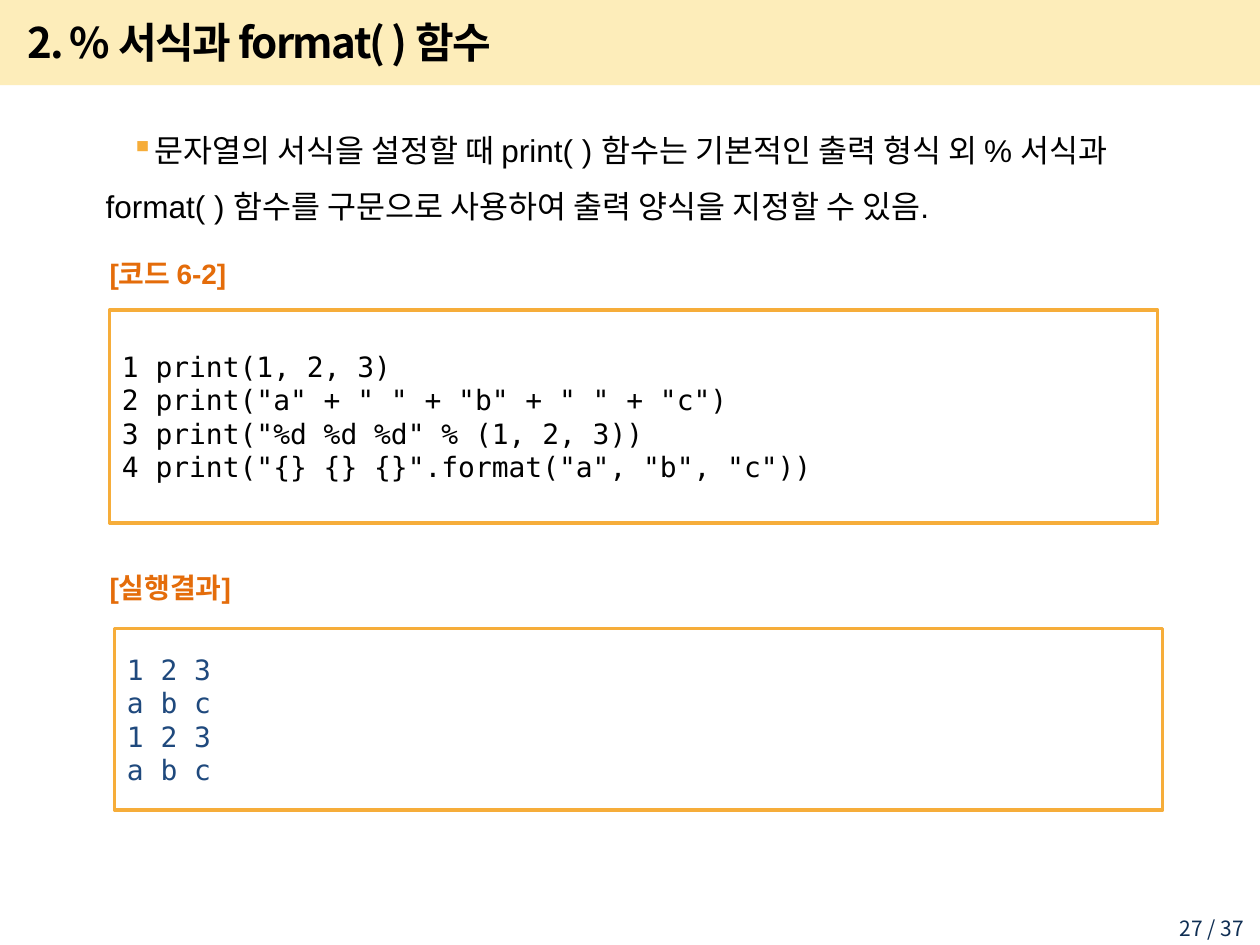
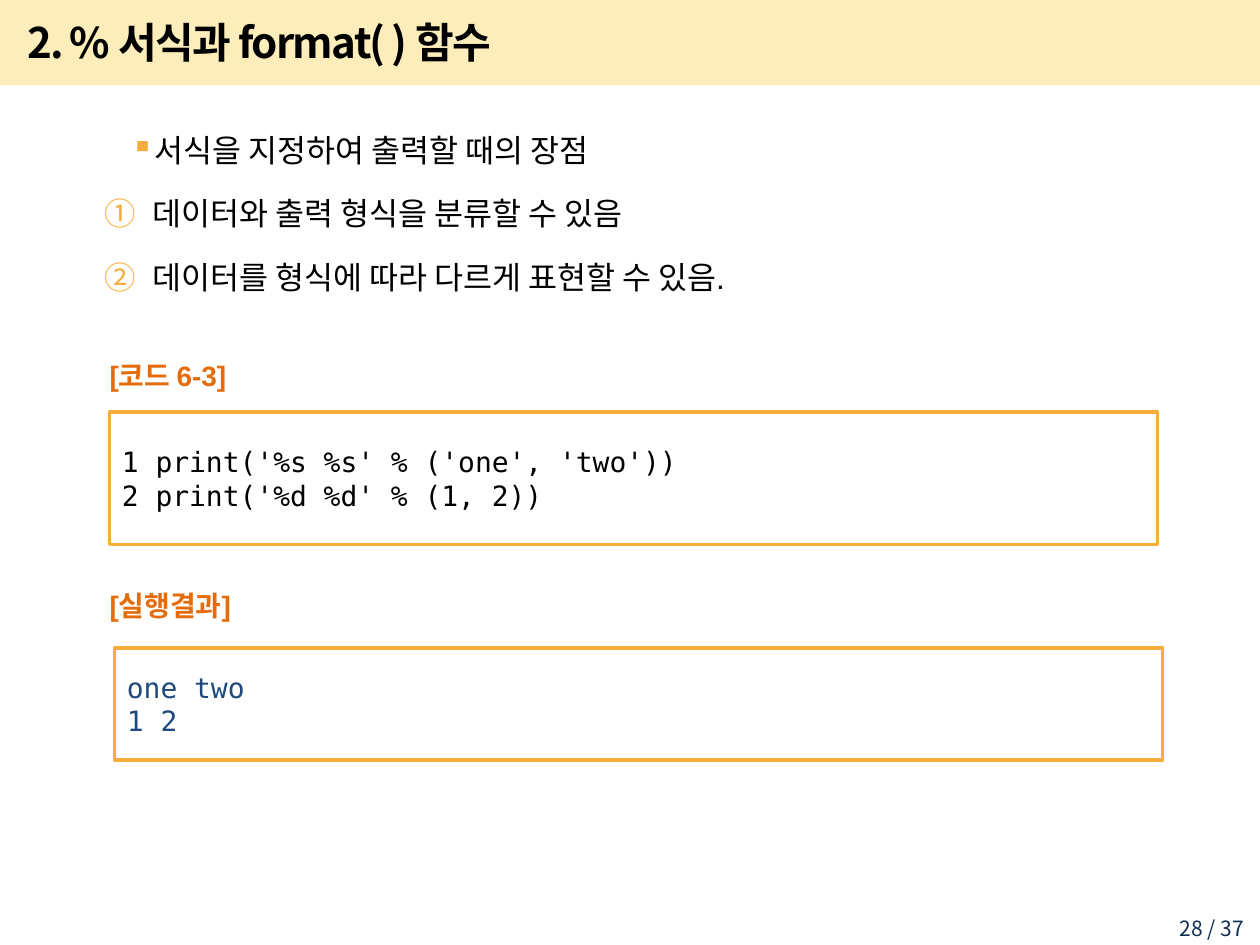
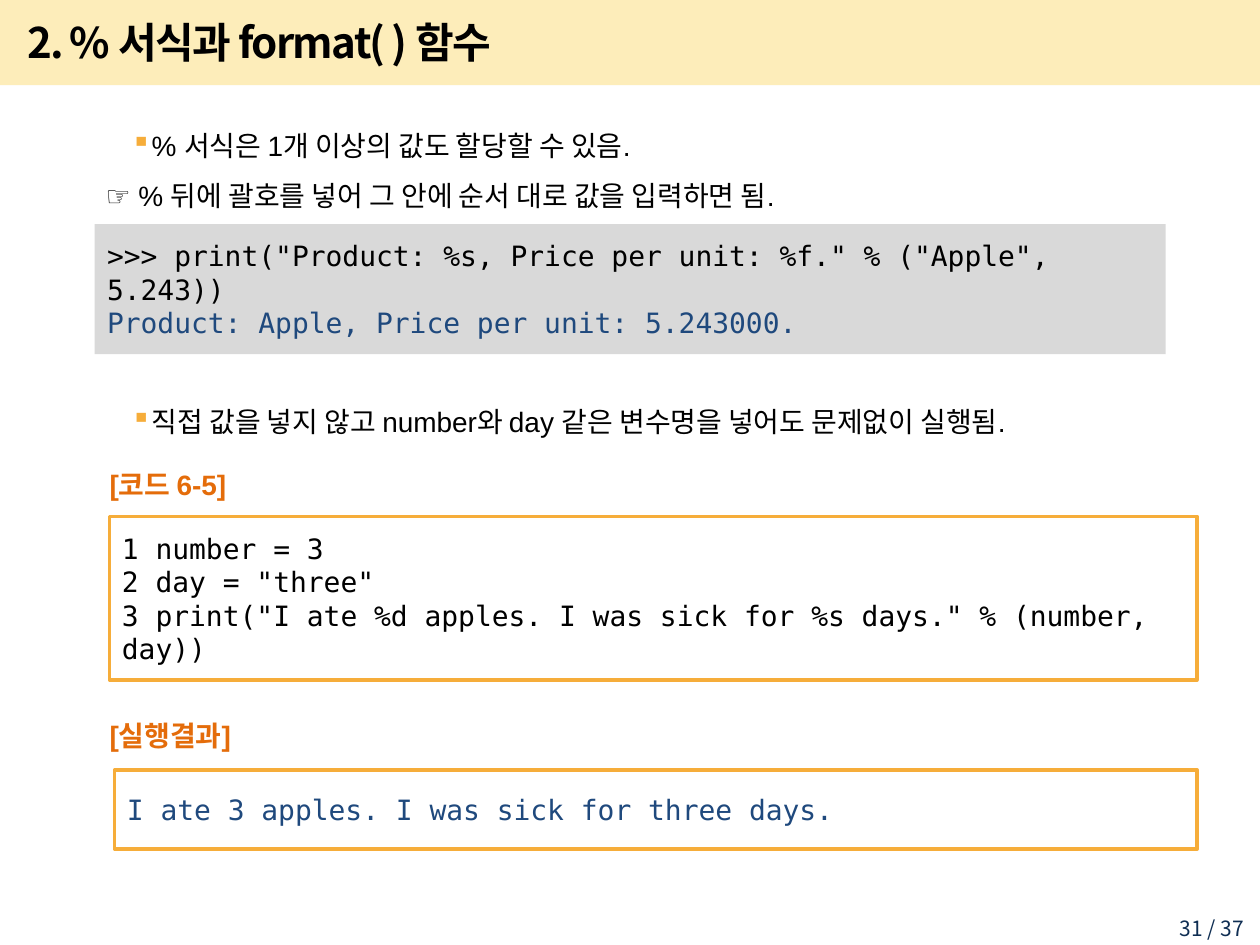
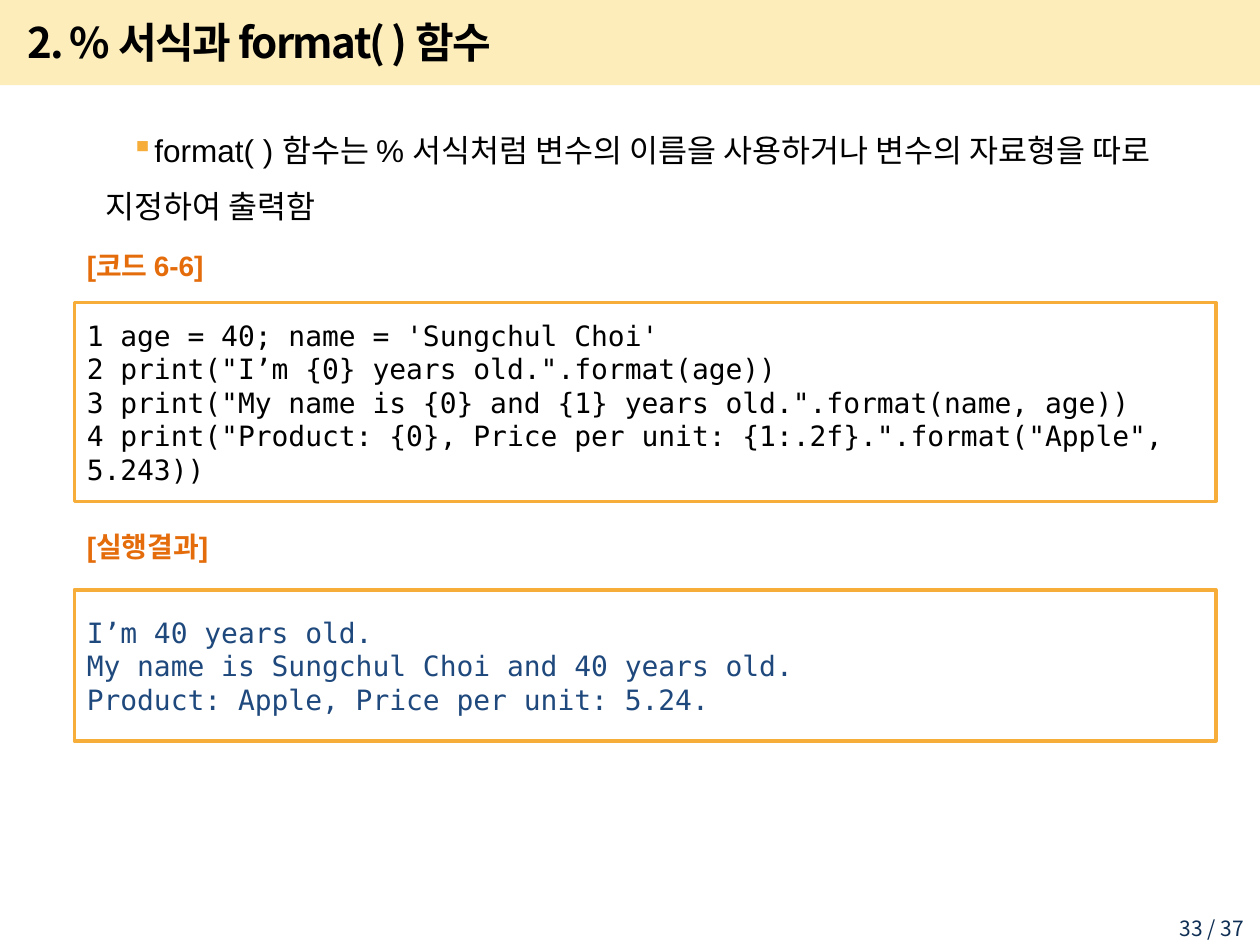
from lxml.etree import SubElement
from pptx import Presentation
from pptx.dml.color import RGBColor
from pptx.enum.shapes import MSO_SHAPE
from pptx.enum.text import MSO_ANCHOR, PP_ALIGN
from pptx.oxml.ns import qn
from pptx.util import Cm, Pt

BLACK = RGBColor(0x00, 0x00, 0x00)
BAND_YELLOW = RGBColor(0xFA, 0xBE, 0x00)
FRAME_ORANGE = RGBColor(0xF6, 0xAD, 0x3A)
LABEL_ORANGE = RGBColor(0xE4, 0x6C, 0x0A)
OUTPUT_BLUE = RGBColor(0x1F, 0x49, 0x7D)
FOOTER_NAVY = RGBColor(0x0F, 0x2E, 0x53)
CONSOLE_GRAY = RGBColor(0xD9, 0xD9, 0xD9)

TITLE_FONT = "Noto Sans CJK KR"
BODY_FONT = "Arial"
CODE_FONT = "DejaVu Sans Mono"

TITLE = "2. % 서식과 format( ) 함수"
PAGE_COUNT = 37
LINE_GAP = 4  # points before a body paragraph
SQUARE, NUMBER = "▪", "circleNumDbPlain"

# Boxes are (left, top, width, height) in cm; body items are (bullet, gap, text).
SLIDES = [
    {
        "page": 27,
        "body_size": 18,
        "body": [(SQUARE, LINE_GAP, "문자열의 서식을 설정할 때 print( ) 함수는 기본적인 출력 형식 외 "
                  "% 서식과 format( ) 함수를 구문으로 사용하여 출력 양식을 지정할 수 있음.")],
        "label_left": 1.96,
        "code_label": ("[코드 6-2]", 4.88),
        "code_box": (2.21, 6.25, 21.13, 4.29),
        "code": ['1 print(1, 2, 3)',
                 '2 print("a" + " " + "b" + " " + "c")',
                 '3 print("%d %d %d" % (1, 2, 3))',
                 '4 print("{} {} {}".format("a", "b", "c"))'],
        "result_label_top": 11.13,
        "result_box": (2.31, 12.67, 21.13, 3.66),
        "result": ["1 2 3", "a b c", "1 2 3", "a b c"],
    },
    {
        "page": 28,
        "body_size": 18,
        "body": [(SQUARE, LINE_GAP, "서식을 지정하여 출력할 때의 장점"),
                 (NUMBER, LINE_GAP, "데이터와 출력 형식을 분류할 수 있음"),
                 (NUMBER, LINE_GAP, "데이터를 형식에 따라 다르게 표현할 수 있음.")],
        "label_left": 1.96,
        "code_label": ("[코드 6-3]", 6.93),
        "code_box": (2.21, 8.31, 21.13, 2.67),
        "code": ["1 print('%s %s' % ('one', 'two'))",
                 "2 print('%d %d' % (1, 2))"],
        "result_label_top": 11.51,
        "result_box": (2.31, 13.06, 21.13, 2.26),
        "result": ["one two", "1 2"],
    },
    {
        "page": 31,
        "body_size": 16,
        "body": [(SQUARE, LINE_GAP, "% 서식은 1개 이상의 값도 할당할 수 있음.\v"
                  "☞ % 뒤에 괄호를 넣어 그 안에 순서 대로 값을 입력하면 됨."),
                 (SQUARE, 100, "직접 값을 넣지 않고 number와 day 같은 변수명을 넣어도 문제없이 실행됨.")],
        "console": ['>>> print("Product: %s, Price per unit: %f." % ("Apple", 5.243))',
                    "Product: Apple, Price per unit: 5.243000."],
        "label_left": 1.96,
        "code_label": ("[코드 6-5]", 9.12),
        "code_box": (2.21, 10.41, 21.92, 3.3),
        "code": ["1 number = 3",
                 '2 day = "three"',
                 '3 print("I ate %d apples. I was sick for %s days." % (number, day))'],
        "result_label_top": 14.12,
        "result_box": (2.31, 15.52, 21.82, 1.6),
        "result": ["I ate 3 apples. I was sick for three days."],
    },
    {
        "page": 33,
        "body_size": 18,
        "body": [(SQUARE, LINE_GAP, "format( ) 함수는 % 서식처럼 변수의 이름을 사용하거나 "
                  "변수의 자료형을 따로 지정하여 출력함")],
        "label_left": 1.5,
        "code_label": ("[코드 6-6]", 4.72),
        "code_box": (1.5, 6.1, 23.01, 4.01),
        "code": ["1 age = 40; name = 'Sungchul Choi'",
                 '2 print("I’m {0} years old.".format(age))',
                 '3 print("My name is {0} and {1} years old.".format(name, age))',
                 '4 print("Product: {0}, Price per unit: {1:.2f}.".format("Apple", 5.243))'],
        "result_label_top": 10.31,
        "result_box": (1.5, 11.89, 23.01, 3.05),
        "result": ["I’m 40 years old.",
                   "My name is Sungchul Choi and 40 years old.",
                   "Product: Apple, Price per unit: 5.24."],
    },
]


def add_rectangle(slide, box, fill=None, line=None):
    shape = slide.shapes.add_shape(MSO_SHAPE.RECTANGLE, *map(Cm, box))
    shape.shadow.inherit = False
    if fill is None:
        shape.fill.background()
    else:
        shape.fill.solid()
        shape.fill.fore_color.rgb = fill
    if line is None:
        shape.line.fill.background()
    else:
        shape.line.color.rgb = line
        shape.line.width = Pt(2)
    return shape


def write_lines(shape, lines, font, size, color, bold=False, anchor=MSO_ANCHOR.MIDDLE):
    """Fill a shape with one paragraph per line and return the paragraphs."""
    frame = shape.text_frame
    frame.word_wrap = True
    frame.vertical_anchor = anchor
    frame.text = "\n".join(lines)
    for paragraph in frame.paragraphs:
        paragraph.alignment = PP_ALIGN.LEFT
        paragraph.font.name = font
        paragraph.font.size = Pt(size)
        paragraph.font.bold = bold
        paragraph.font.color.rgb = color
    return frame.paragraphs


presentation = Presentation()
presentation.slide_width = Cm(25.4)
presentation.slide_height = Cm(19.05)

for content in SLIDES:
    slide = presentation.slides.add_slide(presentation.slide_layouts[6])

    # Title band, page number and title
    band = add_rectangle(slide, (0, 0, 25.4, 1.72), fill=BAND_YELLOW)
    band_color = band.fill._xPr.find(qn("a:solidFill"))[0]
    SubElement(band_color, qn("a:alpha"), val="27000")

    footer = slide.shapes.add_textbox(Cm(22.99), Cm(18.34), Cm(2.34), Cm(0.58))
    page_line = write_lines(footer, [f"{content['page']} / {PAGE_COUNT}"], TITLE_FONT, 12,
                            FOOTER_NAVY, anchor=MSO_ANCHOR.TOP)[0]
    page_line.alignment = PP_ALIGN.RIGHT

    title = slide.shapes.add_textbox(Cm(0.3), Cm(0.18), Cm(21.62), Cm(1.32))
    title_line = write_lines(title, [TITLE], TITLE_FONT, 24, BLACK, bold=True)[0]
    title_line.runs[0]._r.get_or_add_rPr().set("spc", "-100")

    # Bulleted explanation
    body = slide.shapes.add_textbox(Cm(0.89), Cm(2.13), Cm(23.24), Cm(14.88))
    body_lines = write_lines(body, [text for _, _, text in content["body"]], BODY_FONT,
                             content["body_size"], BLACK, anchor=MSO_ANCHOR.TOP)
    for paragraph, (bullet, gap, _) in zip(body_lines, content["body"]):
        paragraph.line_spacing = 1.5
        paragraph.space_before = Pt(gap)
        properties = paragraph._p.get_or_add_pPr()
        left, indent = (1.93, -0.97) if bullet == NUMBER else (0.99, 0.51)
        properties.set("marL", str(Cm(left)))
        properties.set("indent", str(Cm(indent)))
        bullet_color = SubElement(properties, qn("a:buClr"))
        SubElement(bullet_color, qn("a:srgbClr"), val=str(FRAME_ORANGE))
        if bullet == NUMBER:
            SubElement(properties, qn("a:buAutoNum"), type=NUMBER)
        else:
            SubElement(properties, qn("a:buChar"), char=bullet)
        properties.append(properties.find(qn("a:defRPr")))  # must follow the bullet

    # Console sample
    if "console" in content:
        console = add_rectangle(slide, (1.91, 4.52, 21.59, 2.62), fill=CONSOLE_GRAY)
        console_lines = write_lines(console, content["console"], CODE_FONT, 16, BLACK)
        console_lines[-1].font.color.rgb = OUTPUT_BLUE

    # Code listing and its result, each under a label
    code_label, code_label_top = content["code_label"]
    for label_text, label_top, label_height, box, lines, color in [
        (code_label, code_label_top, 1.27, content["code_box"], content["code"], BLACK),
        ("[실행결과]", content["result_label_top"], 1.4, content["result_box"],
         content["result"], OUTPUT_BLUE),
    ]:
        label = slide.shapes.add_textbox(Cm(content["label_left"]), Cm(label_top),
                                         Cm(3.99), Cm(label_height))
        write_lines(label, [label_text], BODY_FONT, 16, LABEL_ORANGE, bold=True)
        frame_box = add_rectangle(slide, box, line=FRAME_ORANGE)
        write_lines(frame_box, lines, CODE_FONT, 16, color)

presentation.save("out.pptx")
